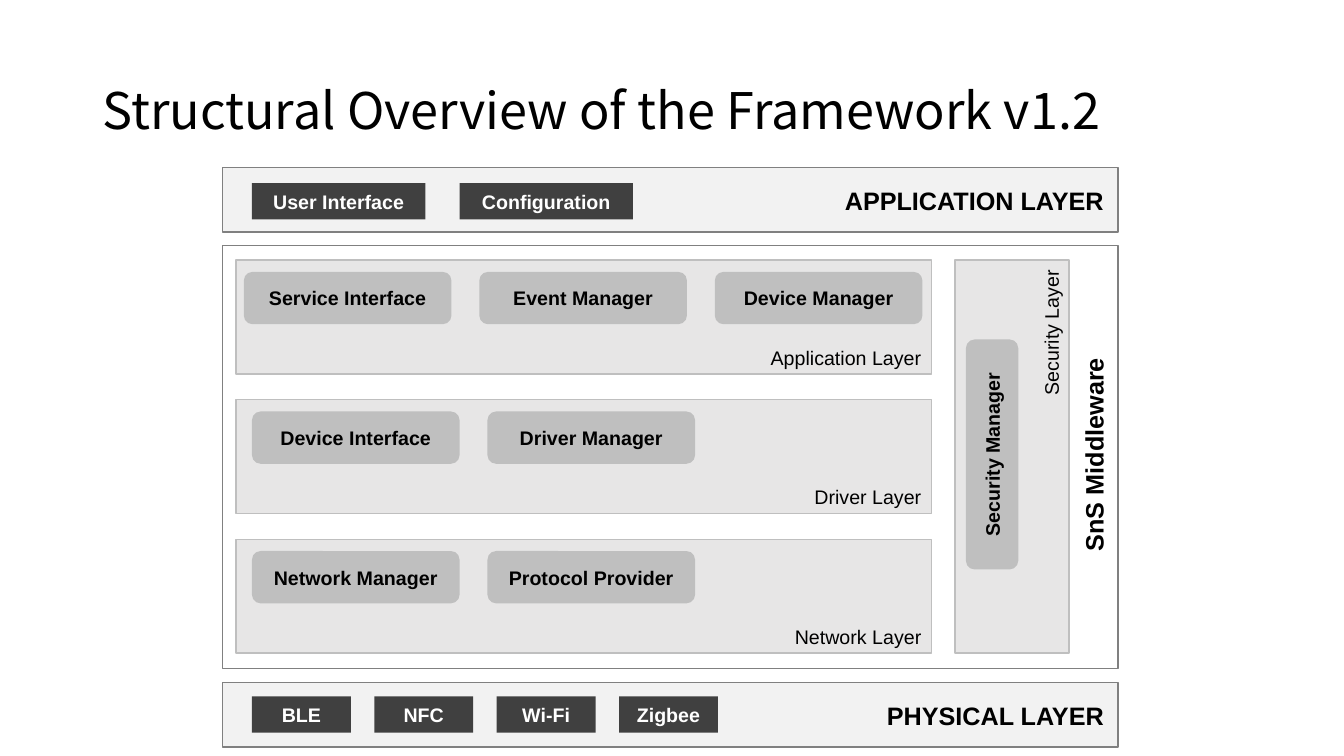
from dataclasses import dataclass

from pptx import Presentation
from pptx.dml.color import RGBColor
from pptx.enum.shapes import MSO_SHAPE
from pptx.enum.text import MSO_ANCHOR, PP_ALIGN
from pptx.util import Pt


@dataclass(frozen=True)
class Theme:
    """Colours, fonts and type sizes of the slide."""
    black: str = "000000"
    white: str = "FFFFFF"
    band: str = "F2F2F2"
    band_line: str = "808080"
    panel: str = "E7E6E6"
    module: str = "BFBFBF"
    chip: str = "404040"
    title_font: str = "Noto Sans CJK KR"
    font: str = "Arial"
    title_size: int = 36
    heading_size: int = 18
    text_size: int = 14


T = Theme()
BAND_X, BAND_W, BAND_H = 159.1, 639.4, 46.1
PANEL_X, PANEL_W, PANEL_H = 168.5, 496.8, 81.4
PANEL_TOP, PANEL_PITCH = 185.8, 99.7
MODULE_W, MODULE_H, MODULE_PITCH = 148.3, 37.4, 168.2
CHIP_X, CHIP_H = 180, 25.9

# name, label width, first module's left edge, modules
PANELS = [
    ("Application Layer", 122.4, 174.2,
     ["Service Interface", "Event Manager", "Device Manager"]),
    ("Driver Layer", 91.4, 180, ["Device Interface", "Driver Manager"]),
    ("Network Layer", 105.1, 180, ["Network Manager", "Protocol Provider"]),
]


def set_text(tf, text, align=PP_ALIGN.CENTER, **font):
    """Write one formatted paragraph and return it."""
    p = tf.paragraphs[0]
    p.alignment = align
    r = p.add_run()
    r.text = text
    values = {"name": T.font, "size": Pt(T.text_size), "bold": False}
    color = font.pop("color", T.black)
    for key, value in {**values, **font}.items():
        setattr(r.font, key, value)
    r.font.color.rgb = RGBColor.from_string(color)
    return p


def add_title(s, text):
    """Place and format the slide title."""
    sp = s.shapes.title
    box = {"left": Pt(66), "top": Pt(28.8), "width": Pt(828), "height": Pt(104.4)}
    for key, value in box.items():
        setattr(sp, key, value)
    sp.text_frame.vertical_anchor = MSO_ANCHOR.MIDDLE
    p = set_text(sp.text_frame, text, PP_ALIGN.LEFT,
                 name=T.title_font, size=Pt(T.title_size))
    p.line_spacing = 0.9


def add_box(s, box, fill, line=None, text=None, color=T.black,
            kind=MSO_SHAPE.RECTANGLE, rotation=0):
    """Add a filled shape, with an outline or a bold centred text if given."""
    sp = s.shapes.add_shape(kind, *map(Pt, box))
    sp.shadow.inherit = False
    sp.rotation = rotation
    sp.fill.solid()
    sp.fill.fore_color.rgb = RGBColor.from_string(fill)
    if line:
        sp.line.color.rgb = RGBColor.from_string(line)
        sp.line.width = Pt(1)
    else:
        sp.line.fill.background()
    if text:
        sp.text_frame.vertical_anchor = MSO_ANCHOR.MIDDLE
        set_text(sp.text_frame, text, color=color, bold=True)


def add_label(s, box, text, align=PP_ALIGN.RIGHT, rotation=0, **font):
    """Add a one-line text box."""
    sp = s.shapes.add_textbox(*map(Pt, box))
    sp.rotation = rotation
    sp.text_frame.word_wrap = False
    set_text(sp.text_frame, text, align, **font)


def add_band(s, top, name, label_w, chips, chip_top, chip_w, pitch):
    """Add an outer layer with its dark chips and its heading."""
    add_box(s, (BAND_X, top, BAND_W, BAND_H), T.band, T.band_line)
    for i, chip in enumerate(chips):
        add_box(s, (CHIP_X + i * pitch, chip_top, chip_w, CHIP_H), T.chip,
                text=chip, color=T.white)
    add_label(s, (795.6 - label_w, top + 9.4, label_w, 29), name,
              size=Pt(T.heading_size), bold=True)


def add_panel(s, top, name, label_w, left, modules):
    """Add a middleware layer with its modules and its name."""
    add_box(s, (PANEL_X, top, PANEL_W, PANEL_H), T.panel, T.module)
    add_label(s, (PANEL_X + PANEL_W - label_w, top + 57.4, label_w, 24.3), name)
    for i, module in enumerate(modules):
        add_box(s, (left + i * MODULE_PITCH, top + 8.4, MODULE_W, MODULE_H),
                T.module, text=module, kind=MSO_SHAPE.ROUNDED_RECTANGLE)


def add_security(s):
    """Add the upright security layer and the middleware heading."""
    add_box(s, (582.5, 285.4, 280.8, PANEL_H), T.panel, T.module, rotation=270)
    add_label(s, (694.8, 229.7, 112.3, 24.3), "Security Layer", rotation=270)
    add_box(s, (626.5, 305.9, 164.3, MODULE_H), T.module, text="Security Manager",
            kind=MSO_SHAPE.ROUNDED_RECTANGLE, rotation=270)
    add_label(s, (704.2, 310.3, 154.1, 29), "SnS Middleware", PP_ALIGN.CENTER,
              rotation=270, size=Pt(T.heading_size), bold=True)


def main():
    """Build the slide and save it."""
    prs = Presentation()
    prs.slide_width, prs.slide_height = Pt(960), Pt(540)
    s = prs.slides.add_slide(prs.slide_layouts[5])
    add_title(s, "Structural Overview of the Framework v1.2")
    add_band(s, 487.6, "PHYSICAL LAYER", 171.4,
             ["BLE", "NFC", "Wi-Fi", "Zigbee"], 497.5, 70.6, 87.4)
    add_box(s, (BAND_X, 175.2, BAND_W, 302.2), T.white, T.band_line)
    for i, panel in enumerate(PANELS):
        add_panel(s, PANEL_TOP + i * PANEL_PITCH, *panel)
    add_security(s)
    add_band(s, 119.6, "APPLICATION LAYER", 201.6,
             ["User Interface", "Configuration"], 130.8, 123.8, 148.3)
    prs.save("out.pptx")


main()
